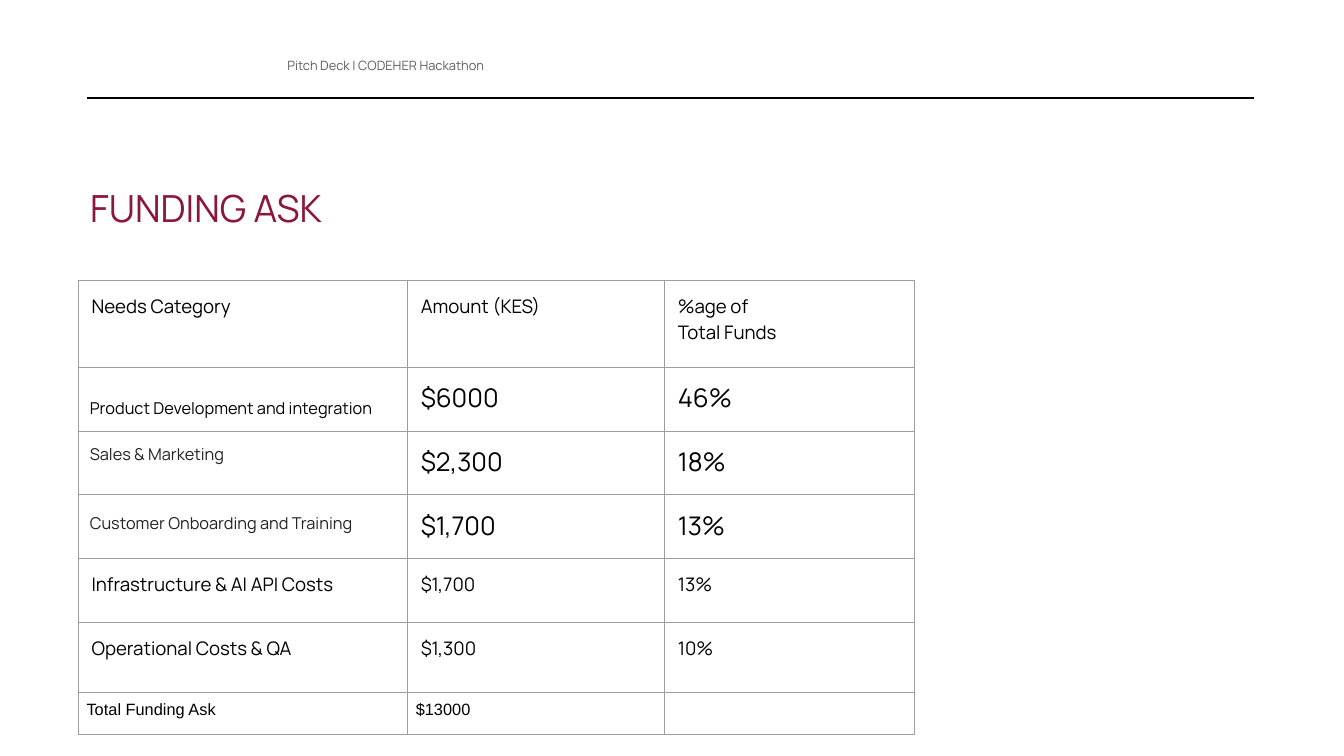
"""Build the funding ask slide: page header, title and budget table with its total."""
from dataclasses import dataclass

from lxml import etree
from pptx import Presentation
from pptx import util as u
from pptx.dml.color import RGBColor
from pptx.enum import shapes, text
from pptx.oxml import ns


@dataclass(frozen=True)
class Theme:
    font: str = "Manrope"
    total_font: str = "Arial"
    title: str = "8B173B"
    ink: str = "000000"
    soft_ink: str = "222222"
    header: str = "5E5E5E"
    border: str = "9E9E9E"
    title_size: int = 32
    amount_size: int = 22
    cell_size: int = 16
    label_size: int = 14
    header_size: int = 11


theme = Theme()


def write(frame, words, size, color=theme.ink, font=theme.font, spacing=1.0):
    """Fill a text frame, one paragraph per line of words."""
    frame.word_wrap = True
    for index, line in enumerate(words.split("\n")):
        para = frame.paragraphs[0] if index == 0 else frame.add_paragraph()
        para.alignment = text.PP_ALIGN.LEFT
        para.line_spacing = spacing
        span = para.add_run()
        span.text = line
        span.font.name = font
        span.font.size = u.Pt(size)
        span.font.color.rgb = RGBColor.from_string(color)


def outline(cell):
    """Give a cell thin borders on all sides and no fill."""
    properties = cell._tc.get_or_add_tcPr()
    for side in ("lnL", "lnR", "lnT", "lnB"):
        line = etree.SubElement(properties, ns.qn(f"a:{side}"), w=str(u.Pt(0.75)))
        fill = etree.SubElement(line, ns.qn("a:solidFill"))
        etree.SubElement(fill, ns.qn("a:srgbClr"), val=theme.border)
    cell.fill.background()


deck = Presentation()
deck.slide_width, deck.slide_height = u.Pt(1152), u.Pt(648)
page = deck.slides.add_slide(deck.slide_layouts[5])

rule = page.shapes.add_connector(
    shapes.MSO_CONNECTOR.STRAIGHT, u.Pt(75), u.Pt(84.3), u.Pt(1075), u.Pt(84.3))
rule.line.color.rgb = RGBColor.from_string(theme.ink)
rule.line.width = u.Pt(1.6)
etree.SubElement(rule._element.spPr, ns.qn("a:effectLst"))

title = page.shapes.title
title.left, title.top, title.width, title.height = u.Pt(75), u.Pt(147.6), u.Pt(839), u.Pt(48)
header = page.shapes.add_textbox(u.Pt(244), u.Pt(47.5), u.Pt(386), u.Pt(19))
for box in (title, header):
    frame = box.text_frame
    frame.auto_size = text.MSO_AUTO_SIZE.NONE
    frame.vertical_anchor = text.MSO_ANCHOR.TOP
    frame.margin_left = frame.margin_right = u.Pt(2.2)
    frame.margin_top = frame.margin_bottom = u.Pt(2.2)
write(title.text_frame, "FUNDING ASK", theme.title_size, theme.title, spacing=1.24)
write(header.text_frame, "Pitch Deck | CODEHER Hackathon", theme.header_size, theme.header)

budget = [
    ("Needs Category", "Amount (KES)", "%age of\nTotal Funds"),
    ("Product Development and integration", "$6000", "46%"),
    ("Sales & Marketing", "$2,300", "18%"),
    ("Customer Onboarding and Training", "$1,700", "13%"),
    ("Infrastructure & AI API Costs", "$1,700", "13%"),
    ("Operational Costs & QA", "$1,300", "10%"),
]
total = [("Total Funding Ask", "$13000", "")]
label_tops = {1: 25.5, 2: 10, 3: 14.6}
label_colors = {1: theme.ink, 2: theme.soft_ink, 3: theme.soft_ink}
column_widths = (282.2, 220.3, 214.5)

tables = (
    (budget, 240.5, (74.2, 54.7, 54.7, 54.7, 54.7, 60.5), 11.5),
    (total, 593.3, (35.3,), 7.2),
)
for rows, top, heights, margin in tables:
    table = page.shapes.add_table(
        len(rows), len(column_widths), u.Pt(67), u.Pt(top),
        u.Pt(sum(column_widths)), u.Pt(sum(heights))).table
    table.first_row = table.horz_banding = False
    for column, width in zip(table.columns, column_widths):
        column.width = u.Pt(width)
    for r, (values, height) in enumerate(zip(rows, heights)):
        table.rows[r].height = u.Pt(height)
        for c, value in enumerate(values):
            cell = table.cell(r, c)
            outline(cell)
            cell.margin_left = cell.margin_right = u.Pt(margin)
            cell.margin_top = cell.margin_bottom = u.Pt(margin)
            if not value:
                continue
            if rows is total:
                write(cell.text_frame, value, theme.label_size, font=theme.total_font)
            elif r in label_tops and c == 0:
                cell.margin_left, cell.margin_right = u.Pt(10), u.Pt(4)
                cell.margin_top, cell.margin_bottom = u.Pt(label_tops[r]), u.Pt(4)
                write(cell.text_frame, value, theme.label_size, label_colors[r])
            else:
                size = theme.amount_size if r in label_tops else theme.cell_size
                write(cell.text_frame, value, size)

deck.save("out.pptx")
